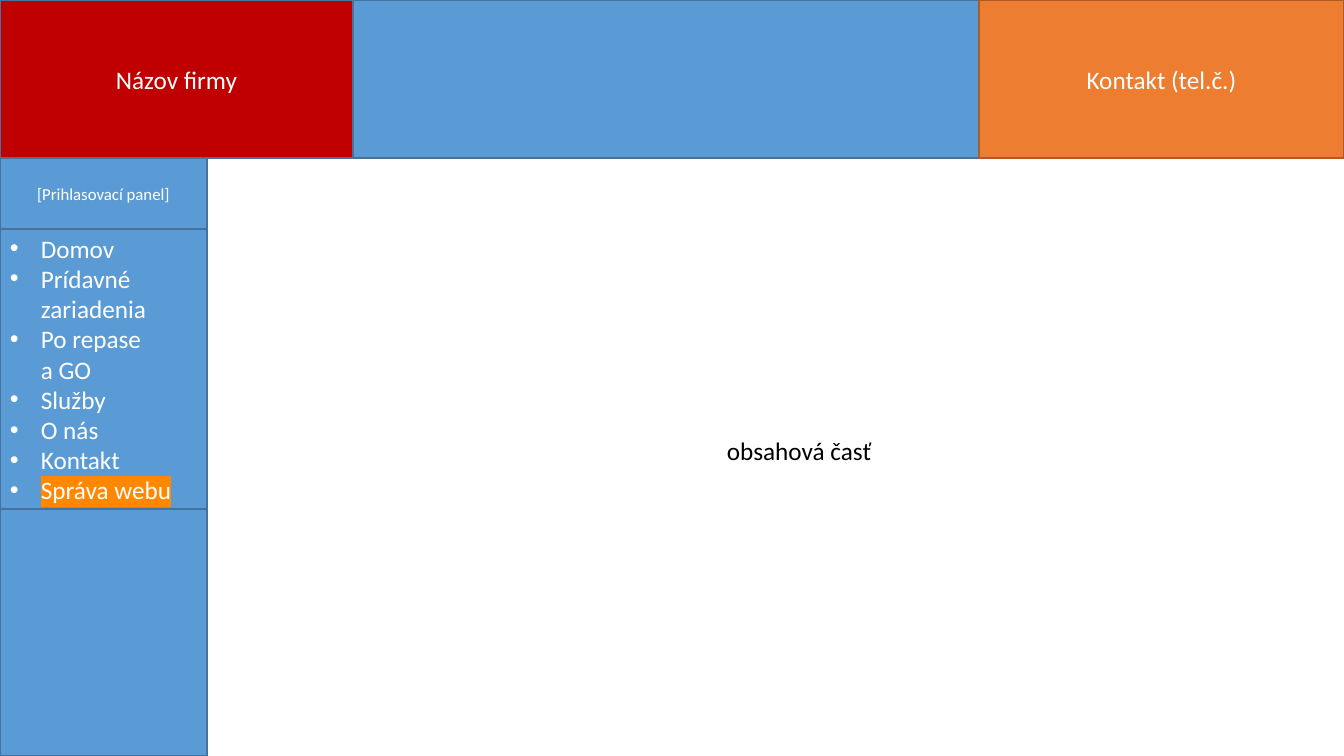
"""Build a wireframe slide of a company website layout."""
from dataclasses import dataclass

import pptx
import pptx.dml.color
import pptx.enum.shapes
import pptx.enum.text
import pptx.oxml.ns
import pptx.util
from lxml import etree

ALIGN = pptx.enum.text.PP_ALIGN
ANCHOR = pptx.enum.text.MSO_ANCHOR


@dataclass(frozen=True)
class Theme:
    """Colours, font and type sizes of the slide."""
    blue: str = "5B9BD5"
    blue_edge: str = "43739E"
    red: str = "C00000"
    orange: str = "ED7D31"
    orange_edge: str = "AF5C24"
    highlight: str = "FF8800"
    white: str = "FFFFFF"
    black: str = "000000"
    font: str = "Calibri"
    body: int = 18
    small: int = 12


class Wireframe:
    """Draw styled elements on one slide, with lengths in px."""

    SCALE = 914400 / 100.8

    def __init__(self, slide, theme):
        """Keep the slide and its theme."""
        self.slide = slide
        self.theme = theme

    @classmethod
    def emu(cls, *lengths):
        """Turn px lengths into EMU."""
        return [pptx.util.Emu(round(length * cls.SCALE)) for length in lengths]

    def format_text(self, paragraph, size, color):
        """Format all runs of a paragraph."""
        for run in paragraph.runs:
            run.font.size = pptx.util.Pt(size)
            run.font.name = self.theme.font
            run.font.color.rgb = pptx.dml.color.RGBColor.from_string(color)

    def panel(self, left, top, width, height, fill, edge, text="", size=None):
        """Add a filled rectangle with an optional centred label."""
        shape = self.slide.shapes.add_shape(
            pptx.enum.shapes.MSO_SHAPE.RECTANGLE, *self.emu(left, top, width, height))
        shape.shadow.inherit = False
        shape.fill.solid()
        shape.fill.fore_color.rgb = pptx.dml.color.RGBColor.from_string(fill)
        shape.line.color.rgb = pptx.dml.color.RGBColor.from_string(edge)
        shape.line.width = pptx.util.Pt(1)
        shape.text_frame.vertical_anchor = ANCHOR.MIDDLE
        if text:
            shape.text_frame.text = text
            paragraph = shape.text_frame.paragraphs[0]
            paragraph.alignment = ALIGN.CENTER
            self.format_text(paragraph, size or self.theme.body, self.theme.white)
        return shape

    def menu(self, shape, items, indent):
        """Fill a panel with a bulleted menu."""
        shape.text_frame.text = "\n".join(items)
        offset, = self.emu(indent)
        for paragraph in shape.text_frame.paragraphs:
            paragraph.alignment = ALIGN.LEFT
            properties = paragraph._p.get_or_add_pPr()
            properties.set("marL", str(offset))
            properties.set("indent", str(-offset))
            etree.SubElement(properties, pptx.oxml.ns.qn("a:buFont"), typeface="Arial")
            etree.SubElement(properties, pptx.oxml.ns.qn("a:buChar"), char="•")
            self.format_text(paragraph, self.theme.body, self.theme.white)

    def highlight(self, run, color):
        """Mark a run with a background colour."""
        mark = etree.Element(pptx.oxml.ns.qn("a:highlight"))
        etree.SubElement(mark, pptx.oxml.ns.qn("a:srgbClr"), val=color)
        run.font._element.find(pptx.oxml.ns.qn("a:solidFill")).addnext(mark)

    def label(self, left, top, width, height, text):
        """Add a plain one-line text box."""
        frame = self.slide.shapes.add_textbox(*self.emu(left, top, width, height)).text_frame
        frame.word_wrap = False
        frame.auto_size = pptx.enum.text.MSO_AUTO_SIZE.SHAPE_TO_FIT_TEXT
        frame.text = text
        self.format_text(frame.paragraphs[0], self.theme.body, self.theme.black)


def main():
    """Compose the page header, sidebar and content area."""
    width, height = 1344, 756
    header, login_bottom, menu_bottom = 158, 229, 509
    name_right, contact_left, sidebar = 353, 979, 207

    presentation = pptx.Presentation()
    presentation.slide_width, presentation.slide_height = Wireframe.emu(width, height)
    slide = presentation.slides.add_slide(presentation.slide_layouts[6])
    theme = Theme()
    page = Wireframe(slide, theme)
    blue = theme.blue, theme.blue_edge

    page.panel(0, 0, name_right, header, theme.red, theme.blue_edge, "Názov firmy")
    page.panel(name_right, 0, contact_left - name_right, header, *blue)
    page.panel(contact_left, 0, width - contact_left, header,
               theme.orange, theme.orange_edge, "Kontakt (tel.č.)")

    menu = page.panel(0, login_bottom, sidebar, menu_bottom - login_bottom, *blue)
    page.menu(menu, ["Domov", "Prídavné zariadenia", "Po repase \va GO", "Služby",
                     "O nás", "Kontakt", "Správa webu"], indent=31)
    page.highlight(menu.text_frame.paragraphs[-1].runs[0], theme.highlight)
    page.panel(0, menu_bottom, sidebar, height - menu_bottom, *blue)
    page.panel(0, header, sidebar, login_bottom - header, *blue,
               "[Prihlasovací panel]", theme.small)

    page.label(717, 430, 166, 40, "obsahová časť")
    presentation.save("out.pptx")


if __name__ == "__main__":
    main()
